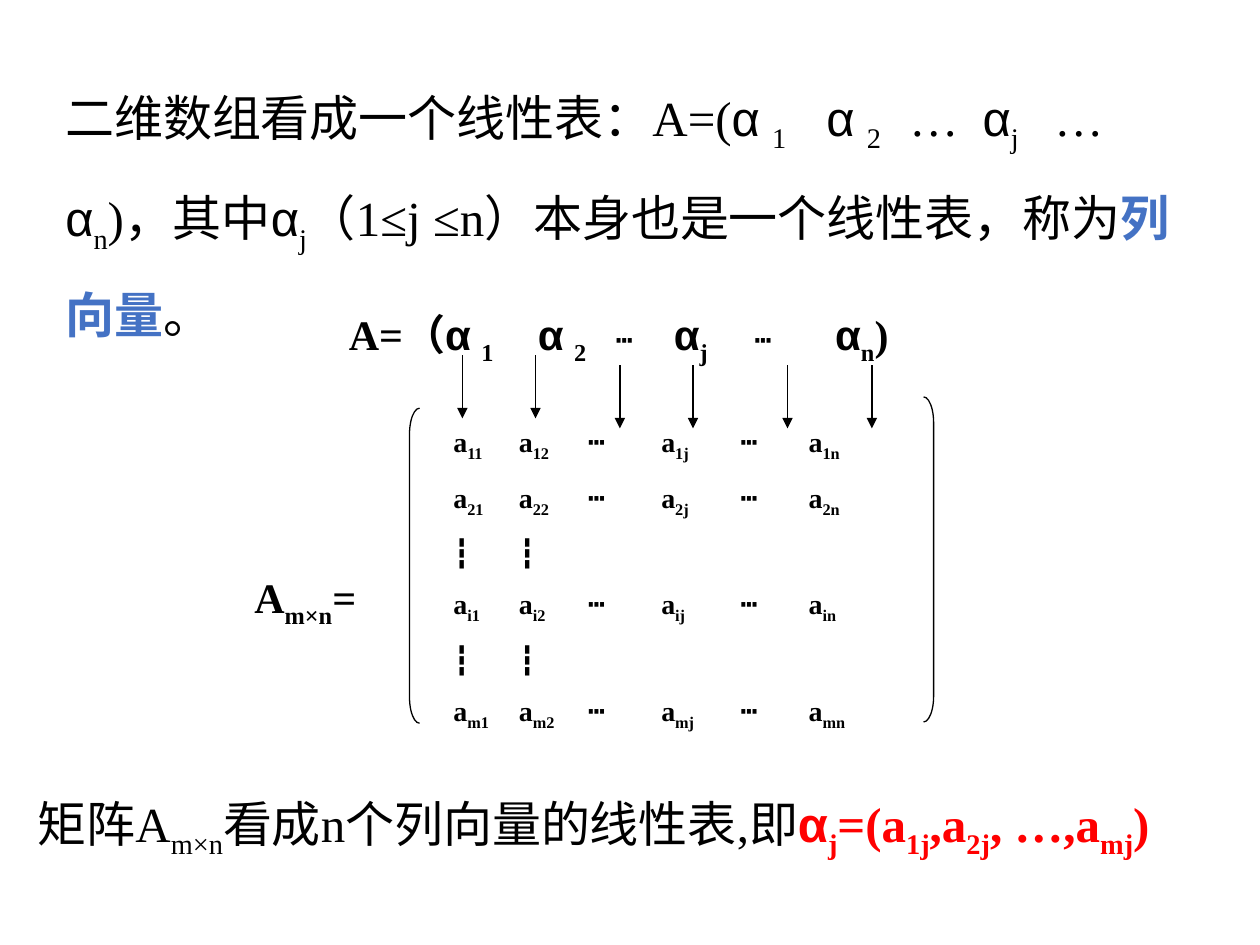
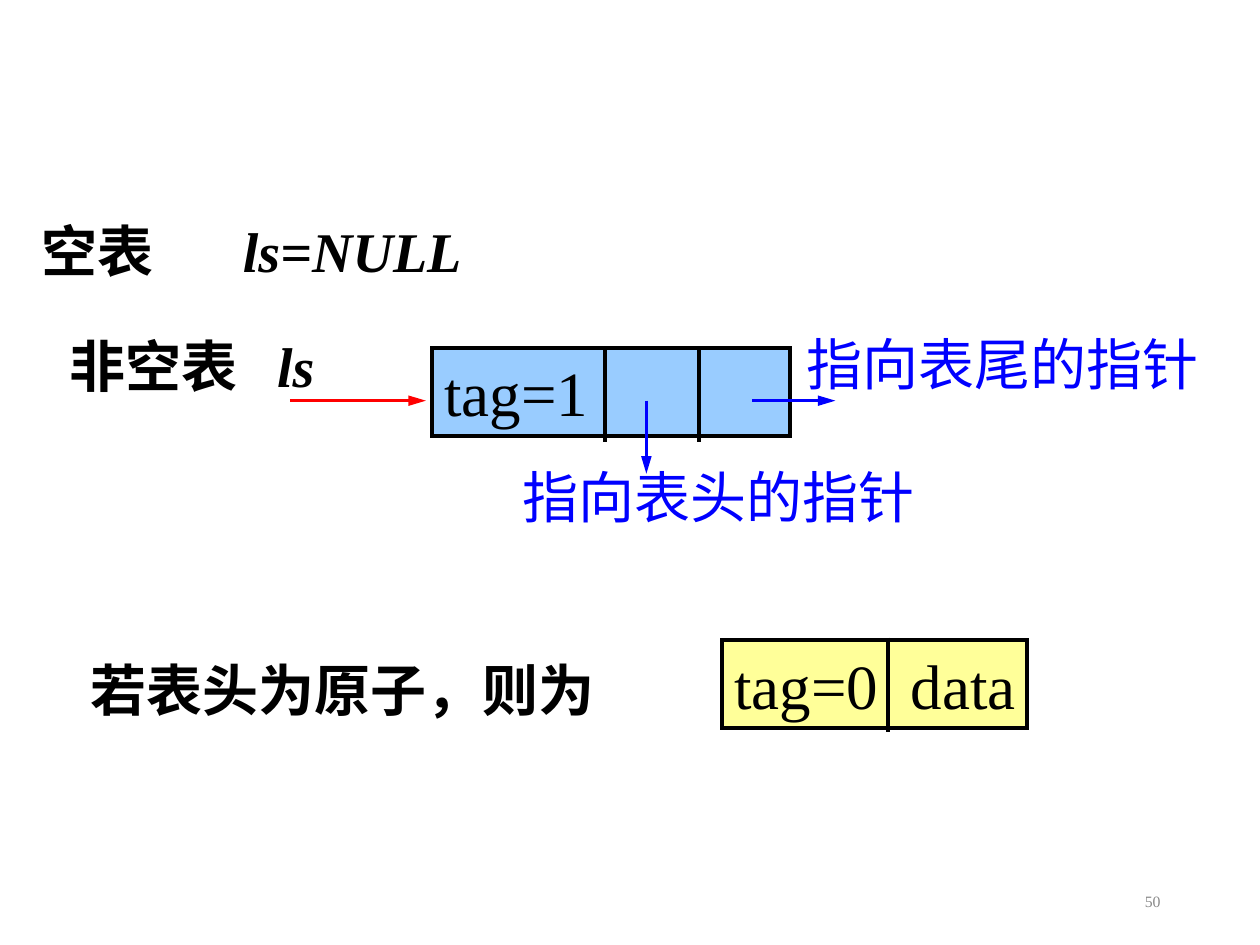
from itertools import groupby

from lxml.etree import SubElement
from pptx import Presentation
from pptx.dml.color import RGBColor
from pptx.enum.shapes import MSO_CONNECTOR, MSO_SHAPE
from pptx.enum.text import MSO_ANCHOR, MSO_AUTO_SIZE, PP_ALIGN
from pptx.oxml import parse_xml
from pptx.oxml.ns import nsdecls, qn
from pptx.util import Inches, Pt

# Shared look
BLACK = RGBColor(0x00, 0x00, 0x00)
RED = RGBColor(0xFF, 0x00, 0x00)
BLUE = RGBColor(0x00, 0x00, 0xFF)
TERM_BLUE = RGBColor(0x44, 0x72, 0xC4)
LIST_NODE_FILL = RGBColor(0x99, 0xCC, 0xFF)
ATOM_NODE_FILL = RGBColor(0xFF, 0xFF, 0x99)
PAGE_GREY = RGBColor(0x89, 0x89, 0x89)
BODY_FONT = "Times New Roman"
GREEK_FONT = "Arial"
THIN, POINTER, BORDER = 0.75, 2, 2.25


def add_runs(paragraph, marked, color=None, bold=None, italic=None):
    """Write text in which every second piece between bars is a subscript."""
    for index, piece in enumerate(marked.split("|")):
        for glyph, chars in groupby(piece, lambda ch: ch if ch in "α┅" else ""):
            run = paragraph.add_run()
            run.text = "".join(chars)
            run.font.bold, run.font.italic = bold, italic
            if color is not None:
                run.font.color.rgb = color
            if glyph == "α":
                run.font.name = GREEK_FONT
            elif glyph == "┅":
                run.font.size = Pt(16)
            if index % 2:
                run._r.get_or_add_rPr().set("baseline", "-25000")


def style_paragraph(paragraph, size, color=BLACK, bold=False, tabs=(),
                    before=0, spacing=None, align=PP_ALIGN.LEFT):
    font = paragraph.font
    font.name, font.size, font.bold = BODY_FONT, Pt(size), bold
    font.color.rgb = color
    paragraph.alignment = align
    paragraph.space_before = Pt(before)
    if spacing:
        paragraph.line_spacing = spacing
    if tabs:
        properties = paragraph._p.get_or_add_pPr()
        stops = parse_xml(f"<a:tabLst {nsdecls('a')}/>")
        for position in tabs:
            SubElement(stops, qn("a:tab"), pos=str(Inches(position)), algn="l")
        properties.find(qn("a:defRPr")).addprevious(stops)


def write(shape, paragraphs, size, right_inset=0.1, anchor=MSO_ANCHOR.TOP, **style):
    """Each paragraph is a list of (marked text, run overrides)."""
    frame = shape.text_frame
    frame.word_wrap = True
    frame.auto_size = MSO_AUTO_SIZE.NONE
    frame.margin_right = Inches(right_inset)
    frame.vertical_anchor = anchor
    for index, pieces in enumerate(paragraphs):
        paragraph = frame.add_paragraph() if index else frame.paragraphs[0]
        style_paragraph(paragraph, size, **style)
        for marked, overrides in pieces:
            add_runs(paragraph, marked, **overrides)


def add_text(slide, left, top, width, height, paragraphs, size, **style):
    box = slide.shapes.add_textbox(
        Inches(left), Inches(top), Inches(width), Inches(height))
    write(box, paragraphs, size, **style)


def add_line(slide, start, end, width, color=BLACK, head_length=None):
    line = slide.shapes.add_connector(
        MSO_CONNECTOR.STRAIGHT, *(Inches(value) for value in (*start, *end)))
    line.line.color.rgb = color
    line.line.width = Pt(width)
    if head_length:
        SubElement(line.line._get_or_add_ln(), qn("a:tailEnd"),
                   type="triangle", w="med", len=head_length)
    SubElement(line._element.spPr, qn("a:effectLst"))


def add_preset(slide, preset, left, top, width, height, line_width):
    shape = slide.shapes.add_shape(
        preset, Inches(left), Inches(top), Inches(width), Inches(height))
    shape.shadow.inherit = False
    shape.line.color.rgb = BLACK
    shape.line.width = Pt(line_width)
    SubElement(shape.line._get_or_add_ln(), qn("a:miter"), lim="800000")
    return shape


def add_bracket(slide, preset, left, top, height):
    bracket = add_preset(slide, preset, left, top, 0.08, height, THIN)
    bracket.fill.background()
    bracket.adjustments[0] = 2.6


def add_node(slide, left, top, width, fill, label, dividers, divider_top, tabs=()):
    """A list node: a box whose fields are parted by vertical lines."""
    node = add_preset(slide, MSO_SHAPE.RECTANGLE, left, top, width, 0.7, BORDER)
    node.fill.solid()
    node.fill.fore_color.rgb = fill
    write(node, [[(label, {})]], 36, right_inset=0, tabs=tabs)
    for x in dividers:
        add_line(slide, (x, divider_top), (x, divider_top + 0.75), BORDER)


def matrix_row(i):
    return f"a|{i}1|\ta|{i}2|\t┅\ta|{i}j|\t┅\ta|{i}n|"


def build_column_vectors(slide):
    # Matrix with its brackets
    add_bracket(slide, MSO_SHAPE.LEFT_BRACKET, 3.25, 3.24, 2.5)
    add_bracket(slide, MSO_SHAPE.RIGHT_BRACKET, 7.33, 3.15, 2.58)
    add_text(slide, 1.92, 4.49, 1.25, 0.56, [[("A|m×n|=", {})]], 24,
             bold=True, before=15)
    gap_row = "┇\t┇"
    rows = [matrix_row(1), matrix_row(2), gap_row,
            matrix_row("i"), gap_row, matrix_row("m")]
    add_text(slide, 3.5, 3.32, 3.83, 2.54, [[(row, {})] for row in rows], 16,
             bold=True, before=10, tabs=(0.52, 1.07, 1.65, 2.28, 2.82))

    # Vector list, each item pointing at its column
    add_text(slide, 2.67, 2.4, 5.42, 0.56,
             [[("A=（α |1|\tα |2|\t┅\tα|j|\t┅\tα|n|)", {})]], 24,
             bold=True, before=15, tabs=(1.5, 2.12, 2.58, 3.22, 3.86))
    for x in (3.67, 4.25, 4.92, 5.5, 6.25, 6.92):
        top = 2.82 if x < 4.5 else 2.9
        add_line(slide, (x, top), (x, top + 0.5), THIN, head_length="med")

    # Explanation above and conclusion below
    add_text(slide, 0.42, 0.38, 9.17, 2.4, [[
        ("二维数组看成一个线性表：A=(α |1|\tα |2|\t…\tα|j|\t… α|n|)，其中α|j|"
         "（1≤j ≤n）本身也是一个线性表，称为", {}),
        ("列向量", {"color": TERM_BLUE, "bold": True}),
        ("。", {}),
    ]], 28, before=17.5, spacing=1.5, tabs=(6.04, 6.7, 7.28, 7.85))
    add_text(slide, 0.2, 6.25, 9.39, 1.16, [[
        ("矩阵A|m×n|看成n个列向量的线性表,即", {}),
        ("α|j|=(a|1j|,a|2j|, …,a|mj|)", {"color": RED, "bold": True}),
    ]], 28, before=17.5)


def build_list_nodes(slide):
    # Page number
    add_text(slide, 7.06, 6.95, 2.25, 0.4, [[("50", {})]], 9, color=PAGE_GREY,
             anchor=MSO_ANCHOR.MIDDLE, align=PP_ALIGN.RIGHT)

    # Case labels
    italic = {"italic": True}
    heading = {"size": 32, "bold": True, "right_inset": 0}
    add_text(slide, 0.23, 1.67, 4.27, 0.64,
             [[("空表\t", {}), ("ls=NULL", italic)]], tabs=(1.6,), **heading)
    add_text(slide, 0.45, 2.58, 2.38, 0.64,
             [[("非空表\t", {}), ("ls", italic)]], tabs=(1.65,), **heading)
    add_text(slide, 0.62, 5.1, 4.2, 0.69,
             [[("若表头为原子，则为", {})]], spacing=1.1, **heading)

    # List node with head and tail pointers
    add_node(slide, 3.43, 2.76, 2.84, LIST_NODE_FILL, "tag=1", (4.8, 5.55), 2.76)
    for start, end, color in (((2.3, 3.18), (3.38, 3.18), RED),
                              ((5.13, 3.18), (5.13, 3.76), BLUE),
                              ((5.97, 3.18), (6.63, 3.18), BLUE)):
        add_line(slide, start, end, POINTER, color, head_length="lg")
    for left, top, target in ((4.05, 3.62, "表头"), (6.3, 2.57, "表尾")):
        add_text(slide, left, top, 3.31, 0.64, [[(f"指向{target}的指针", {})]], 32,
                 color=BLUE, right_inset=0)

    # Atom node
    add_node(slide, 5.73, 5.08, 2.42, ATOM_NODE_FILL, "tag=0\tdata",
             (7.05,), 5.06, tabs=(1.4,))


def main():
    deck = Presentation()
    deck.slide_width, deck.slide_height = Inches(10), Inches(7.5)
    blank = deck.slide_layouts[6]
    for build in (build_column_vectors, build_list_nodes):
        build(deck.slides.add_slide(blank))
    deck.save("out.pptx")


if __name__ == "__main__":
    main()
